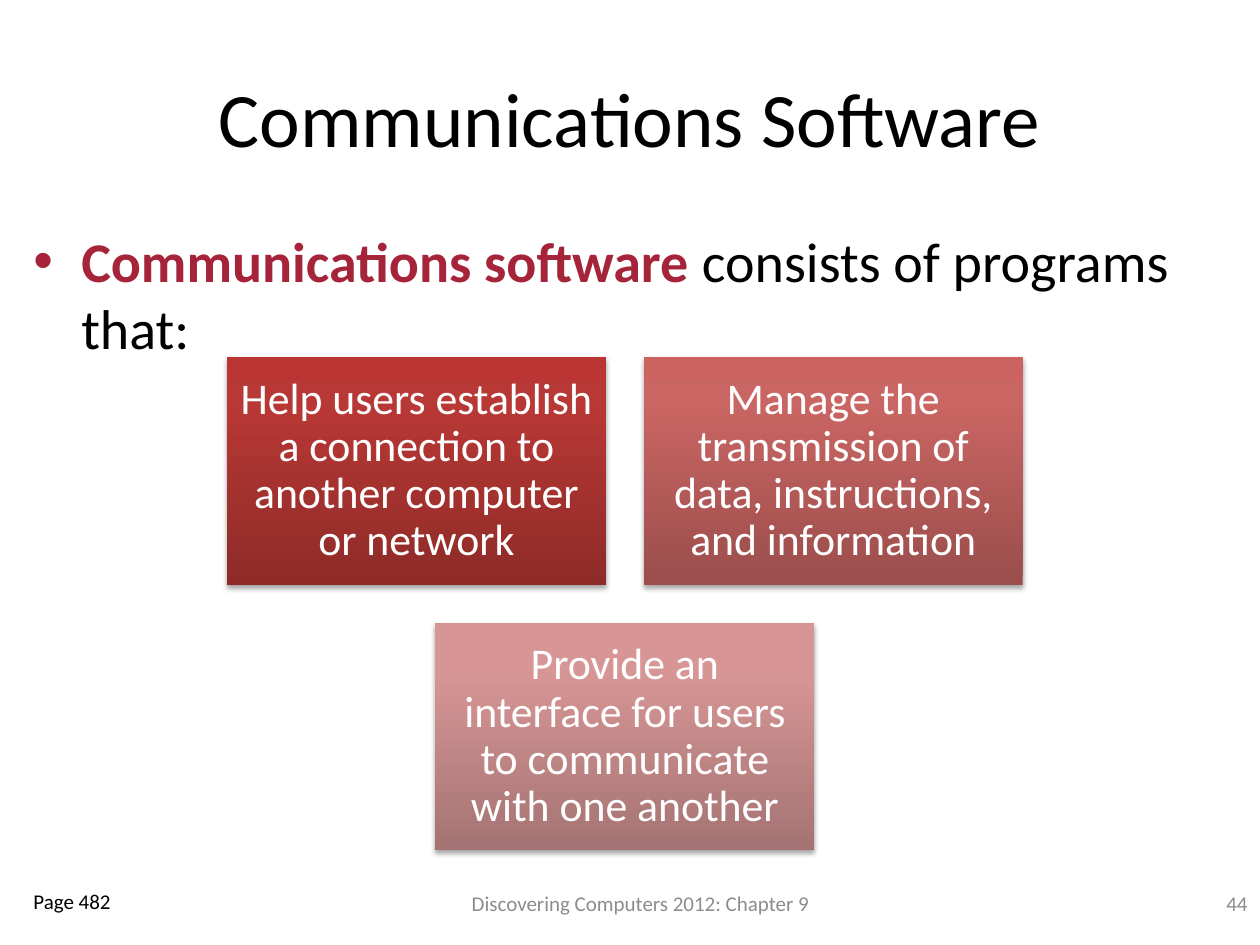
import copy

import lxml.etree
import pptx
import pptx.dml.color
import pptx.enum.shapes
import pptx.enum.text
import pptx.oxml
import pptx.oxml.ns
import pptx.util

UNIT = pptx.util.Inches(10) / 60
FONT = "Calibri"
ALIGN = pptx.enum.text.PP_ALIGN
ANCHOR = pptx.enum.text.MSO_ANCHOR
CARDS = [
    ("Help users establish a connection to another computer or network",
     ("8E2B28", "B83835", "BB3632")),
    ("Manage the transmission of data, instructions, and information",
     ("9B4E4C", "C96563", "CC6361")),
    ("Provide an interface for users to communicate with one another",
     ("A57373", "D79695", "D99594")),
]


def rgb(value):
    """Return a colour from a hex string."""
    return pptx.dml.color.RGBColor.from_string(value)


def place(box):
    """Turn a box in grid columns and rows into slide lengths."""
    return [pptx.util.Emu(round(n * UNIT)) for n in box]


def add_run(p, text, size, color, bold=False):
    """Append one styled run to a paragraph."""
    r = p.add_run()
    r.text = text
    r.font.name = FONT
    r.font.size = pptx.util.Pt(size)
    r.font.bold = bold
    r.font.color.rgb = rgb(color)


def add_text(s, box, runs, align=ALIGN.LEFT, anchor=ANCHOR.TOP):
    """Add a wrapped text box of one paragraph and return the paragraph."""
    tf = s.shapes.add_textbox(*place(box)).text_frame
    tf.word_wrap = True
    tf.vertical_anchor = anchor
    p = tf.paragraphs[0]
    p.alignment = align
    for run in runs:
        add_run(p, *run)
    return p


def add_bullet(p, indent):
    """Give a paragraph a hanging round bullet."""
    pPr = p._p.get_or_add_pPr()
    pPr.set("marL", str(indent))
    pPr.set("indent", str(-indent))
    for tag, key, value in (("a:buFont", "typeface", "Arial"), ("a:buChar", "char", "•")):
        lxml.etree.SubElement(pPr, pptx.oxml.ns.qn(tag)).set(key, value)


def add_gradient(sp, colors):
    """Fill a shape with a three-stop gradient rising from its bottom edge."""
    sp.fill.gradient()
    sp.fill.gradient_angle = 90
    last = sp.fill.gradient_stops[1]._gs
    last.addnext(copy.deepcopy(last))
    for stop, position, color in zip(sp.fill.gradient_stops, (0, 0.8, 1), colors):
        stop.position = position
        stop.color.rgb = rgb(color)


def add_shadow(sp):
    """Give a shape a soft shadow straight below it."""
    sp.shadow.inherit = False
    effects = sp._element.spPr.find(pptx.oxml.ns.qn("a:effectLst"))
    effects.append(pptx.oxml.parse_xml(
        f'<a:outerShdw {pptx.oxml.ns.nsdecls("a")} blurRad="{pptx.util.Pt(3.1)}" '
        f'dist="{pptx.util.Pt(1.8)}" dir="5400000" rotWithShape="0">'
        '<a:srgbClr val="000000"><a:alpha val="35000"/></a:srgbClr></a:outerShdw>'))


def add_card(s, box, text, colors):
    """Add one gradient card with centred text."""
    sp = s.shapes.add_shape(pptx.enum.shapes.MSO_SHAPE.RECTANGLE, *place(box))
    add_gradient(sp, colors)
    sp.line.fill.background()
    add_shadow(sp)
    tf = sp.text_frame
    tf.word_wrap = True
    tf.vertical_anchor = ANCHOR.MIDDLE
    tf.margin_left = tf.margin_right = pptx.util.Inches(0.1)
    tf.margin_top = tf.margin_bottom = pptx.util.Inches(0.1)
    p = tf.paragraphs[0]
    p.alignment = ALIGN.CENTER
    p.line_spacing = 0.9
    add_run(p, text, 25, "FFFFFF")


def add_cards(s, box, cards, columns=2, gap=1.8):
    """Lay cards out in rows, centring a short last row."""
    left, top, width, height = box
    rows = -(-len(cards) // columns)
    w = (width - gap * (columns - 1)) / columns
    h = (height - gap * (rows - 1)) / rows
    for i, (text, colors) in enumerate(cards):
        row, col = divmod(i, columns)
        missing = columns - min(columns, len(cards) - row * columns)
        x = left + (col + missing / 2) * (w + gap)
        add_card(s, (x, top + row * (h + gap), w, h), text, colors)


def add_heading(s, box):
    """Add the slide title."""
    add_text(s, box, [("Communications Software", 44, "000000")],
             ALIGN.CENTER, ANCHOR.MIDDLE)


def add_body(s, box):
    """Add the bulleted definition."""
    p = add_text(s, box, [("Communications software ", 32, "A52439", True),
                          ("consists of programs that:", 32, "000000")])
    add_bullet(p, pptx.util.Inches(0.38))


def add_footer(s, box):
    """Add the page reference, footer text and slide number."""
    left, top, width, height = box
    add_text(s, (left, top + 1, 11, 3), [("Page 482", 12, "000000")])
    add_text(s, (left + 17, top + 0.5, 25, 3),
             [("Discovering Computers 2012: Chapter 9", 12, "8C8C8C")],
             ALIGN.CENTER, ANCHOR.MIDDLE)
    add_text(s, (left + width - 4, top, 4, height), [("44", 12, "8C8C8C")],
             ALIGN.RIGHT, ANCHOR.MIDDLE)


def main():
    """Build and save the slide."""
    prs = pptx.Presentation()
    prs.slide_width = pptx.util.Inches(10)
    prs.slide_height = pptx.util.Inches(7.5)
    s = prs.slides.add_slide(prs.slide_layouts[6])
    add_heading(s, (3, 1.8, 54, 7.5))
    add_body(s, (1, 10.5, 58, 30.5))
    add_footer(s, (1, 41, 59, 4))
    add_cards(s, (10.8, 17, 37.9, 23.5), CARDS)
    prs.save("out.pptx")


if __name__ == "__main__":
    main()
